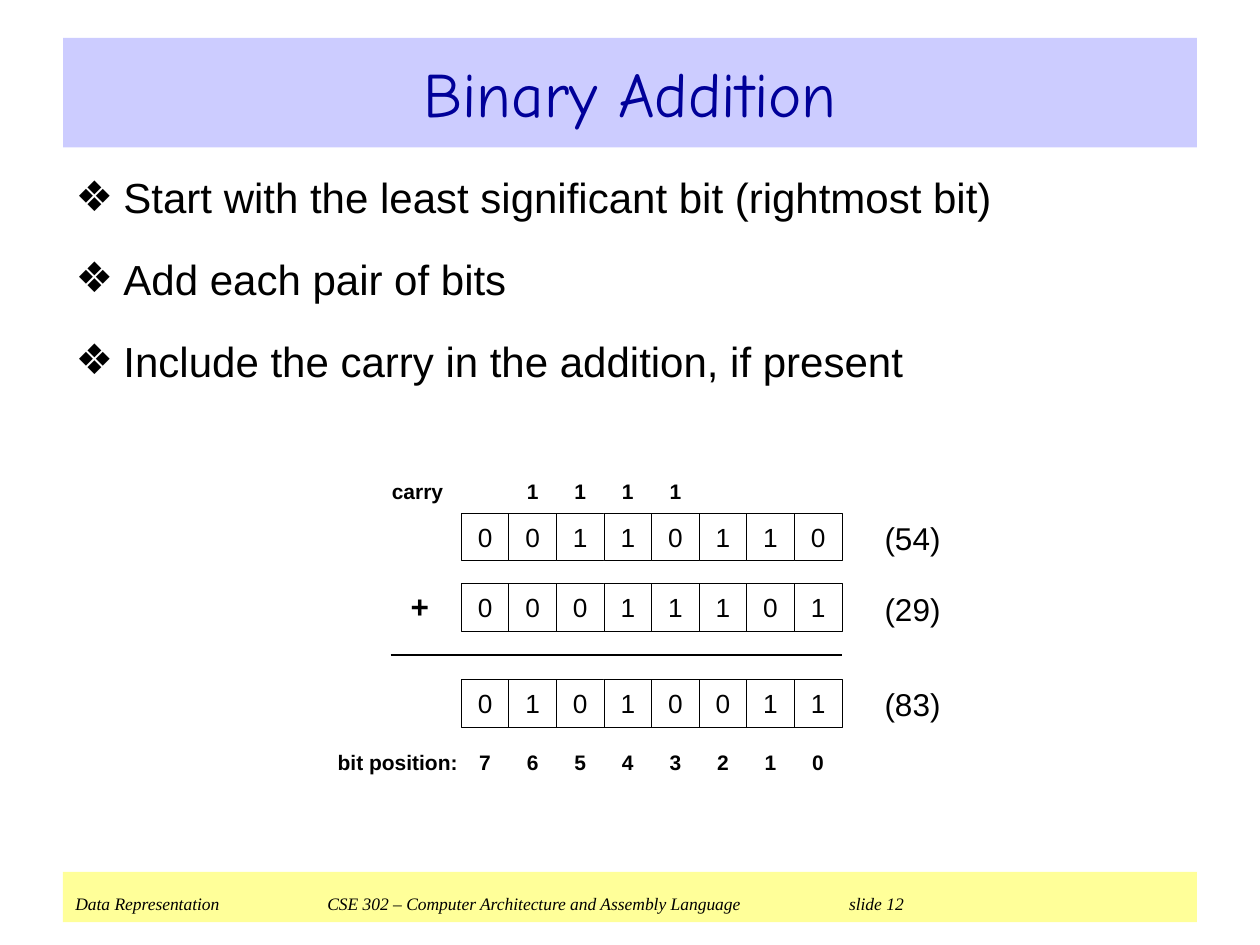
"""Build the Binary Addition slide: three rules and a worked 8-bit sum."""
from lxml import etree
from pptx import Presentation
from pptx import util as u
from pptx.dml.color import RGBColor
from pptx.enum import shapes, text
from pptx.oxml.ns import qn

In = u.Inches
COLORS = {"ink": "000000", "title": "000099", "banner": "CCCCFF",
          "footer": "FFFF99", "cell": "FFFFFF"}
LEFT, CENTER = text.PP_ALIGN.LEFT, text.PP_ALIGN.CENTER
TOP, MIDDLE = text.MSO_ANCHOR.TOP, text.MSO_ANCHOR.MIDDLE


def write(sp, lines, size=12, font="Arial", color="ink", bold=False, italic=False,
          align=LEFT, anchor=TOP, wrap=True, inset=(0, 0), before=0):
    tf = sp.text_frame
    tf.text = lines
    tf.word_wrap = wrap
    tf.auto_size = text.MSO_AUTO_SIZE.NONE
    tf.vertical_anchor = anchor
    tf.margin_left = tf.margin_right = In(inset[0])
    tf.margin_top = tf.margin_bottom = In(inset[1])
    for p in tf.paragraphs:
        p.alignment = align
        p.space_before = u.Pt(before)
        for r in p.runs:
            f = r.font
            f.size, f.name, f.bold, f.italic = u.Pt(size), font, bold, italic
            f.color.rgb = RGBColor.from_string(COLORS[color])
    return tf


def box(x, y, w, h, fill, line=None):
    sp = s.shapes.add_shape(shapes.MSO_SHAPE.RECTANGLE, In(x), In(y), In(w), In(h))
    sp.shadow.inherit = False
    sp.fill.solid()
    sp.fill.fore_color.rgb = RGBColor.from_string(COLORS[fill])
    if line:
        sp.line.color.rgb = RGBColor.from_string(COLORS["ink"])
        sp.line.width = u.Pt(line)
    else:
        sp.line.fill.background()
    return sp


prs = Presentation()
prs.slide_width, prs.slide_height = In(10), In(7.5)
s = prs.slides.add_slide(prs.slide_layouts[1])

title, body = s.placeholders
title.left, title.top, title.width, title.height = In(0.5), In(0.3), In(9), In(0.87)
title.fill.solid()
title.fill.fore_color.rgb = RGBColor.from_string(COLORS["banner"])
write(title, "Binary Addition", size=36, font="Comic Neue", color="title",
      align=CENTER, anchor=MIDDLE, inset=(0.1, 0.05))

body.left, body.top, body.width, body.height = In(0.5), In(1.31), In(9), In(2)
rules = ["Start with the least significant bit (rightmost bit)",
         "Add each pair of bits",
         "Include the carry in the addition, if present"]
tf = write(body, "\n".join(rules), size=24, inset=(0.1, 0.05), before=18)
for p in tf.paragraphs:
    pPr = p._p.get_or_add_pPr()
    pPr.set("marL", str(In(0.38)))
    pPr.set("indent", str(-In(0.38)))
    etree.SubElement(pPr, qn("a:buChar"), char="❖")

footer = box(0.5, 6.92, 9, 0.4, "footer")
tf = write(footer, "Data Representation\tCSE 302 – Computer Architecture and Assembly Language\tslide 12",
           size=10, font="Times New Roman", italic=True, inset=(0.1, 0.17))
tabs = etree.SubElement(tf.paragraphs[0]._p.get_or_add_pPr(), qn("a:tabLst"))
for pos in (2, 6.14):
    etree.SubElement(tabs, qn("a:tab"), pos=str(In(pos)), algn="l")

GRID_LEFT, GRID_RIGHT, BITS, CELL = 3.66, 6.68, 8, 0.38
columns = [GRID_LEFT + i * (GRID_RIGHT - GRID_LEFT) / BITS for i in range(BITS)]

for y, value in ((4.07, 54), (4.63, 29), (5.39, 83)):
    for x, bit in zip(columns, f"{value:08b}"):
        write(box(x, y, CELL, CELL, "cell", line=0.37), bit, size=15,
              align=CENTER, anchor=MIDDLE)
    sp = s.shapes.add_textbox(In(7.02), In(y + 0.05), In(0.45), In(0.3))
    write(sp, f"({value})", size=18, wrap=False)

for y, digits in ((3.8, {1: "1", 2: "1", 3: "1", 4: "1"}),
                  (5.95, {i: str(BITS - 1 - i) for i in range(BITS)})):
    for i, digit in digits.items():
        sp = s.shapes.add_textbox(In(columns[i]), In(y), In(CELL), In(0.2))
        write(sp, digit, bold=True, align=CENTER)

for x, y, w, h, label, size in ((3.11, 3.8, 0.51, 0.2, "carry", 12),
                                (3.26, 4.66, 0.15, 0.3, "+", 18),
                                (2.68, 5.95, 0.95, 0.2, "bit position:", 12)):
    sp = s.shapes.add_textbox(In(x), In(y), In(w), In(h))
    write(sp, label, size=size, bold=True, wrap=False)

rule = s.shapes.add_connector(shapes.MSO_CONNECTOR.STRAIGHT,
                              In(3.1), In(5.2), In(GRID_RIGHT), In(5.2))
rule.line.color.rgb = RGBColor.from_string(COLORS["ink"])
rule.line.width = u.Pt(1.13)
etree.SubElement(rule._element.spPr, qn("a:effectLst"))

prs.save("out.pptx")
